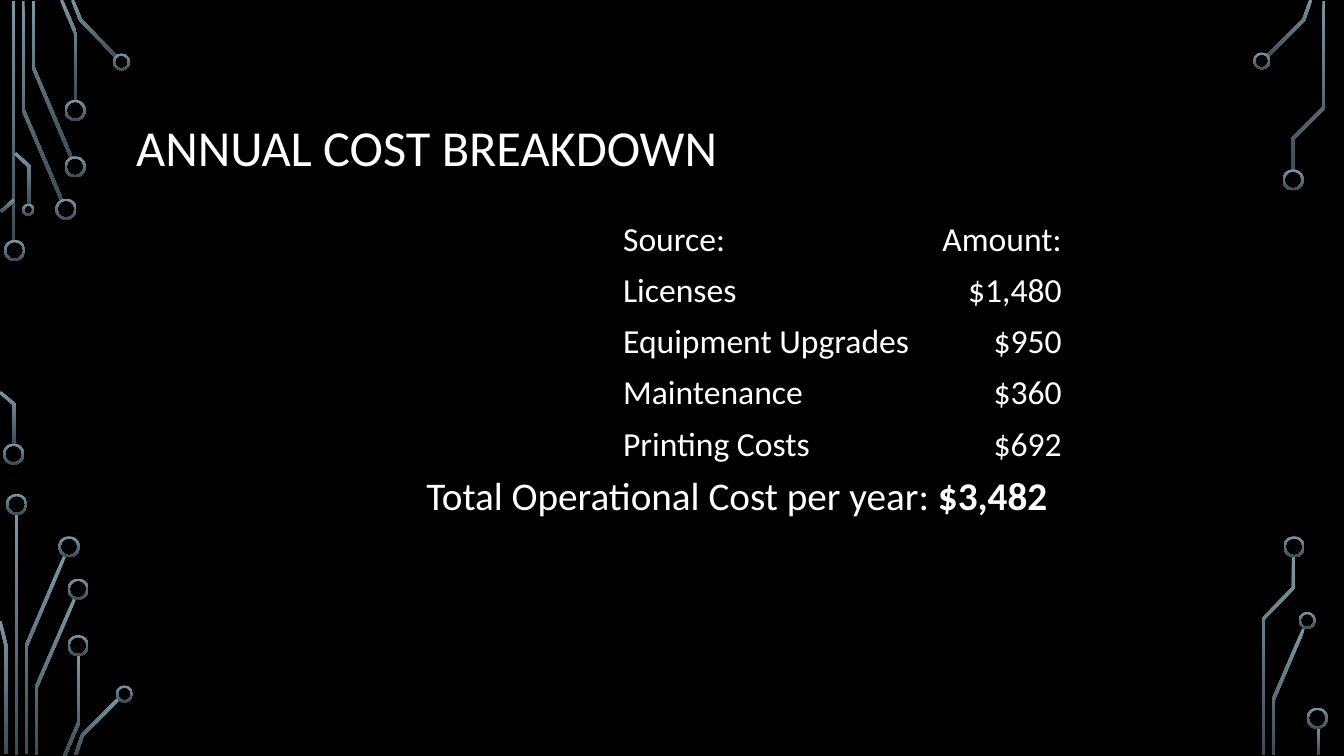
import math
from dataclasses import dataclass

from pptx import Presentation
from pptx.dml.color import RGBColor
from pptx.enum.shapes import MSO_SHAPE
from pptx.enum.text import MSO_ANCHOR, MSO_AUTO_SIZE, PP_ALIGN
from pptx.util import Inches, Pt

BLACK = RGBColor(0x00, 0x00, 0x00)
WHITE = RGBColor(0xFF, 0xFF, 0xFF)
CIRCUIT_LIGHT = RGBColor(0x7C, 0x96, 0xA3)
CIRCUIT_DARK = RGBColor(0x3B, 0x4C, 0x54)
FONT = "Calibri"
RECTANGLE, DONUT = MSO_SHAPE.RECTANGLE, MSO_SHAPE.DONUT
LEFT, RIGHT = PP_ALIGN.LEFT, PP_ALIGN.RIGHT
MIDDLE = MSO_ANCHOR.MIDDLE
GROW = MSO_AUTO_SIZE.SHAPE_TO_FIT_TEXT
NO_GRID_STYLE = "{2D5ABB26-0587-4C30-8999-92F81FD0307C}"
TRACE_WIDTH = 0.03
RING_WIDTH = 0.02
UNITS_PER_INCH = 1000

Point = tuple[float, float]


@dataclass(frozen=True)
class Bar:
    left: float
    top: float
    height: float


@dataclass(frozen=True)
class Ring:
    left: float
    top: float
    size: float = 0.21


@dataclass(frozen=True)
class Trace:
    points: tuple[Point, ...]


@dataclass(frozen=True)
class Cost:
    source: str
    amount: str


BARS = [Bar(0.12, 0.01, 2.39), Bar(0.15, 5.1, 2.39), Bar(13.06, 7.21, 0.28)]

RINGS = [
    # Top left and left edge
    Ring(0.04, 2.38), Ring(0.03, 4.4), Ring(0.55, 1.97), Ring(0.64, 1.55),
    Ring(0.64, 0.99), Ring(1.12, 0.53, 0.17), Ring(0.22, 2.02, 0.12),
    # Bottom left
    Ring(0.06, 4.9), Ring(0.58, 5.32), Ring(0.67, 5.74), Ring(0.67, 6.3),
    Ring(1.15, 6.8, 0.17),
    # Top right and bottom right
    Ring(12.43, 0.52, 0.17), Ring(12.72, 1.68), Ring(12.88, 6.07, 0.17),
    Ring(12.73, 5.32), Ring(12.96, 7.02),
]

TRACES = [
    # Top left and left edge
    Trace(((0.23, 0.01), (0.23, 1.09), (0.61, 1.98))),
    Trace(((0.33, 0.01), (0.33, 0.67), (0.71, 1.57))),
    Trace(((0.61, 0), (0.75, 0.33), (0.75, 1))),
    Trace(((0.72, 0), (0.8, 0.2), (1.16, 0.57))),
    Trace(((0.01, 2.1), (0.14, 1.98))),
    Trace(((0, 3.89), (0.14, 4.01), (0.14, 4.41))),
    Trace(((0.15, 1.52), (0.29, 1.65), (0.29, 2.03))),
    # Bottom left
    Trace(((0.26, 7.48), (0.26, 6.41), (0.64, 5.52))),
    Trace(((0, 6.16), (0.06, 6.41), (0.06, 7.48))),
    Trace(((0.36, 7.49), (0.36, 6.82), (0.74, 5.94))),
    Trace(((0.64, 7.5), (0.78, 7.17), (0.78, 6.5))),
    Trace(((0.75, 7.49), (0.82, 7.29), (1.18, 6.93))),
    # Top right and bottom right
    Trace(((13, 0), (12.93, 0.2), (12.57, 0.56))),
    Trace(((12.82, 1.69), (12.82, 1.38), (13.13, 1.07), (13.13, 0.01))),
    Trace(((12.63, 7.49), (12.63, 6.94), (12.93, 6.24))),
    Trace(((12.53, 7.49), (12.53, 6.14), (12.83, 5.83), (12.83, 5.52))),
]

COSTS = [
    Cost("Source:", "Amount:"),
    Cost("Licenses", "$1,480"),
    Cost("Equipment Upgrades", "$950"),
    Cost("Maintenance", "$360"),
    Cost("Printing Costs", "$692"),
]


def style_circuit(shape) -> None:
    shape.shadow.inherit = False
    shape.line.fill.background()
    shape.fill.gradient()
    shape.fill.gradient_angle = 270
    light, dark = shape.fill.gradient_stops
    light.position, dark.position = 0, 1
    light.color.rgb, dark.color.rgb = CIRCUIT_LIGHT, CIRCUIT_DARK


def draw_bar(shapes, bar: Bar) -> None:
    style_circuit(shapes.add_shape(
        RECTANGLE, Inches(bar.left), Inches(bar.top),
        Inches(TRACE_WIDTH), Inches(bar.height)))


def draw_ring(shapes, ring: Ring) -> None:
    size = Inches(ring.size)
    donut = shapes.add_shape(DONUT, Inches(ring.left), Inches(ring.top), size, size)
    donut.adjustments[0] = RING_WIDTH / ring.size
    style_circuit(donut)


def offset_side(points: tuple[Point, ...], distance: float) -> list[Point]:
    """Shift a polyline sideways, with mitred corners."""
    angles = [math.atan2(y2 - y1, x2 - x1)
              for (x1, y1), (x2, y2) in zip(points, points[1:])]
    side = []
    for (x, y), before, after in zip(points, angles[:1] + angles, angles + angles[-1:]):
        turn = math.remainder(after - before, math.tau) / 2
        reach = distance / math.cos(turn)
        side.append((x - reach * math.sin(before + turn),
                     y + reach * math.cos(before + turn)))
    return side


def draw_trace(shapes, trace: Trace) -> None:
    half = TRACE_WIDTH / 2
    outline = offset_side(trace.points, half) + offset_side(trace.points, -half)[::-1]
    start, *rest = [(x * UNITS_PER_INCH, y * UNITS_PER_INCH) for x, y in outline]
    builder = shapes.build_freeform(*start, scale=Inches(1) / UNITS_PER_INCH)
    builder.add_line_segments(rest, close=True)
    style_circuit(builder.convert_to_shape())


def add_run(paragraph, text: str, size: int, bold: bool = False) -> None:
    run = paragraph.add_run()
    run.text = text
    run.font.name = FONT
    run.font.size = Pt(size)
    run.font.bold = bold
    run.font.color.rgb = WHITE


def draw_title(title) -> None:
    title.left, title.top = Inches(1.25), Inches(0.68)
    title.width, title.height = Inches(10.83), Inches(1.62)
    title.text_frame.vertical_anchor = MIDDLE
    heading = title.text_frame.paragraphs[0]
    heading.alignment = LEFT
    heading.line_spacing = 0.9
    add_run(heading, "ANNUAL COST BREAKDOWN", 36)


def draw_costs(shapes) -> None:
    frame = shapes.add_table(len(COSTS), 2, Inches(6.08), Inches(2.13),
                             Inches(4.55), Inches(2.5))
    costs = frame.table
    costs.first_row = costs.horz_banding = False
    costs._tbl.tblPr.find("{*}tableStyleId").text = NO_GRID_STYLE
    costs.columns[0].width, costs.columns[1].width = Inches(3.06), Inches(1.49)
    for row, cost in enumerate(COSTS):
        for column, (text, align) in enumerate(((cost.source, LEFT), (cost.amount, RIGHT))):
            cell = costs.cell(row, column)
            cell.fill.background()
            entry = cell.text_frame.paragraphs[0]
            entry.alignment = align
            add_run(entry, text, 24)


def draw_total(shapes) -> None:
    total = shapes.add_textbox(Inches(4.13), Inches(4.63), Inches(6.94), Inches(0.57))
    total.text_frame.word_wrap = True
    total.text_frame.auto_size = GROW
    line = total.text_frame.paragraphs[0]
    add_run(line, "Total Operational Cost per year: ", 28)
    add_run(line, "$3,482", 28, bold=True)


def main() -> None:
    deck = Presentation()
    deck.slide_width, deck.slide_height = Inches(13.33), Inches(7.5)
    slide = deck.slides.add_slide(deck.slide_layouts.get_by_name("Title Only"))
    slide.background.fill.solid()
    slide.background.fill.fore_color.rgb = BLACK

    # Circuit decoration
    for bar in BARS:
        draw_bar(slide.shapes, bar)
    for trace in TRACES:
        draw_trace(slide.shapes, trace)
    for ring in RINGS:
        draw_ring(slide.shapes, ring)

    # Content
    draw_title(slide.shapes.title)
    draw_costs(slide.shapes)
    draw_total(slide.shapes)
    deck.save("out.pptx")


if __name__ == "__main__":
    main()
